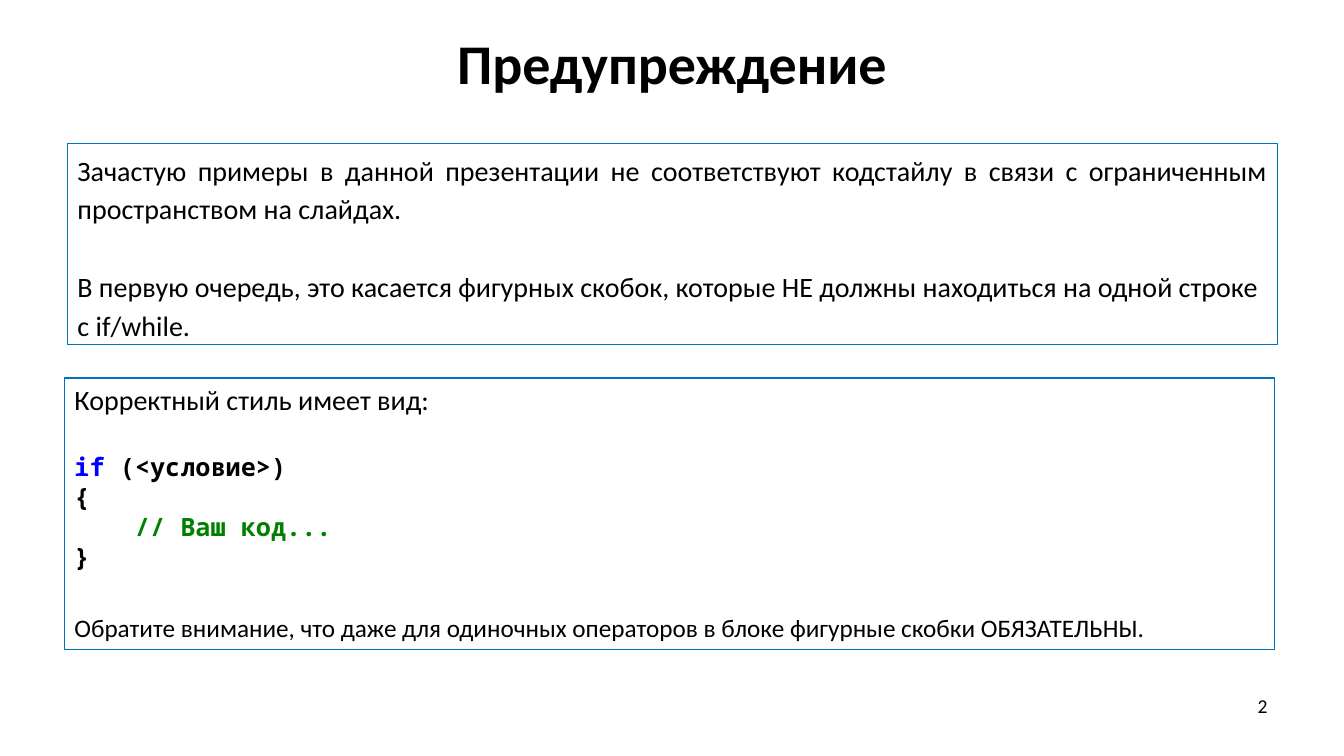
from dataclasses import dataclass

from pptx import Presentation
from pptx.dml.color import RGBColor
from pptx.enum.shapes import MSO_SHAPE
from pptx.enum.text import MSO_ANCHOR, PP_ALIGN
from pptx.util import Inches, Pt

RECTANGLE = MSO_SHAPE.RECTANGLE
TOP, MIDDLE = MSO_ANCHOR.TOP, MSO_ANCHOR.MIDDLE
LEFT, CENTER, RIGHT, JUSTIFY = (
    PP_ALIGN.LEFT, PP_ALIGN.CENTER, PP_ALIGN.RIGHT, PP_ALIGN.JUSTIFY)
TEXT_FONT, CODE_FONT = "Calibri", "Noto Sans Mono"
BLACK, BORDER, KEYWORD, COMMENT = "000000", "0070C0", "0000FF", "008000"
TITLE_ONLY = 5


@dataclass(frozen=True)
class Span:
    text: str
    color: str = BLACK


@dataclass(frozen=True)
class Line:
    spans: tuple[Span, ...]
    size: float = 20
    font: str = TEXT_FONT
    bold: bool = False
    align: PP_ALIGN = LEFT
    spacing: float = 1.0
    before: float = 0


@dataclass(frozen=True)
class Panel:
    left: float
    top: float
    height: float
    lines: tuple[Line, ...]
    width: float = 12


def code(*spans: Span, before: float = 0) -> Line:
    return Line(spans, 18, CODE_FONT, True, before=before)


PANELS = (
    Panel(0.67, 1.42, 2, (
        Line((Span("Зачастую примеры в данной презентации не соответствуют кодстайлу "
                   "в связи с ограниченным пространством на слайдах."),),
             align=JUSTIFY, spacing=1.15),
        Line((Span("В первую очередь, это касается фигурных скобок, которые НЕ должны "
                   "находиться на одной строке с if/while."),),
             spacing=1.15, before=28),
    )),
    Panel(0.64, 3.75, 2.69, (
        Line((Span("Корректный стиль имеет вид:"),)),
        code(Span("if ", KEYWORD), Span("(<условие>)"), before=24.5),
        code(Span("{")),
        code(Span("    // Ваш код...", COMMENT)),
        code(Span("}")),
        Line((Span("Обратите внимание, что даже для одиночных операторов в блоке "
                   "фигурные скобки ОБЯЗАТЕЛЬНЫ."),), 18, before=29),
    )),
)


def rgb(value: str) -> RGBColor:
    return RGBColor.from_string(value)


def place(box, left: float, top: float, width: float, height: float) -> None:
    box.left, box.top = Inches(left), Inches(top)
    box.width, box.height = Inches(width), Inches(height)


def write(box, lines: tuple[Line, ...], anchor: MSO_ANCHOR = TOP) -> None:
    frame = box.text_frame
    frame.word_wrap = True
    frame.vertical_anchor = anchor
    for index, line in enumerate(lines):
        para = frame.add_paragraph() if index else frame.paragraphs[0]
        para.alignment = line.align
        para.line_spacing = line.spacing
        para.space_before = Pt(line.before)
        para.font.name = line.font
        para.font.size = Pt(line.size)
        para.font.bold = line.bold
        for span in line.spans:
            run = para.add_run()
            run.text = span.text
            run.font.color.rgb = rgb(span.color)


def add_panel(page, panel: Panel) -> None:
    box = page.shapes.add_shape(RECTANGLE, 0, 0, 0, 0)
    place(box, panel.left, panel.top, panel.width, panel.height)
    box.shadow.inherit = False
    box.fill.background()
    box.line.color.rgb = rgb(BORDER)
    box.line.width = Pt(0.75)
    write(box, panel.lines)


def main() -> None:
    deck = Presentation()
    deck.slide_width, deck.slide_height = Inches(13.33), Inches(7.5)
    page = deck.slides.add_slide(deck.slide_layouts[TITLE_ONLY])

    title = page.shapes.title
    place(title, 1.83, 0.08, 9.67, 1.08)
    write(title, (Line((Span("Предупреждение"),), 40, bold=True, align=CENTER),), MIDDLE)

    for panel in PANELS:
        add_panel(page, panel)

    number = page.shapes.add_textbox(0, 0, 0, 0)
    place(number, 9.56, 6.83, 3.11, 0.52)
    write(number, (Line((Span("2"),), 14, align=RIGHT),))

    deck.save("out.pptx")


if __name__ == "__main__":
    main()
